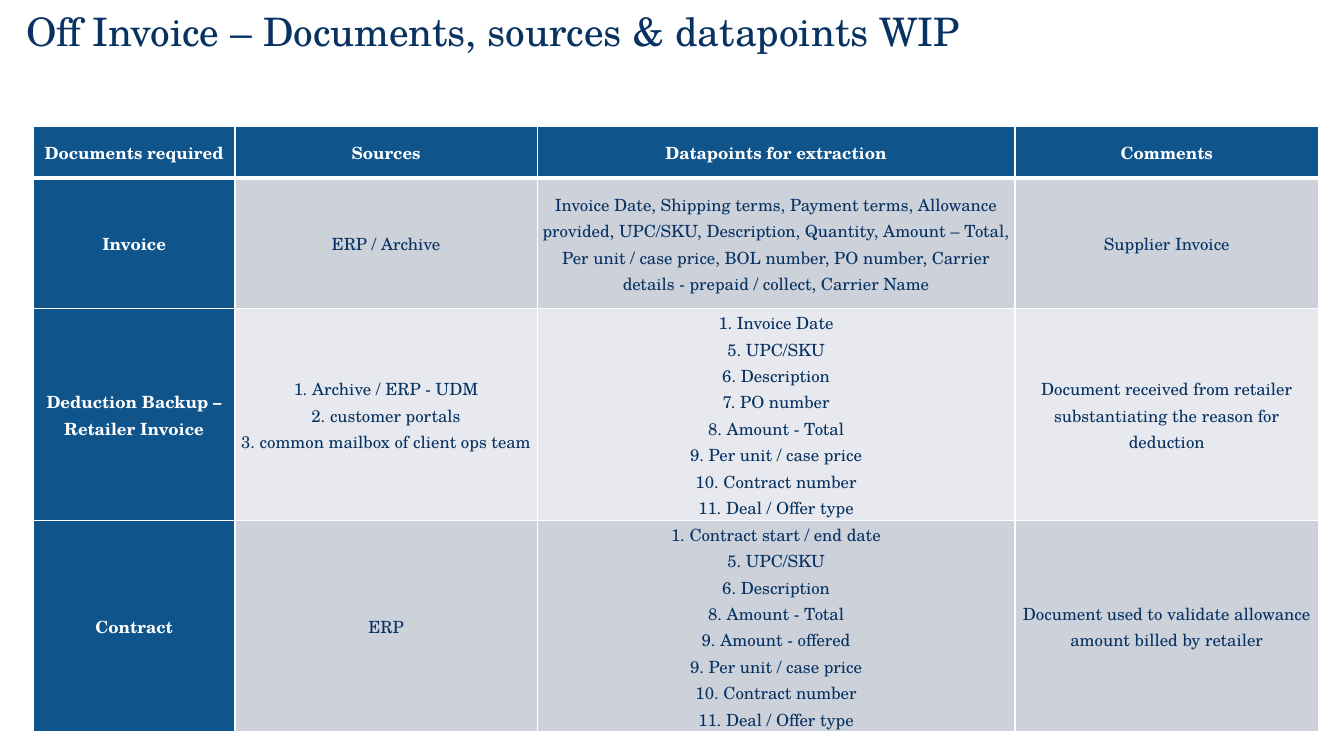
import pptx
import pptx.dml.color
import pptx.enum.text
import pptx.oxml
import pptx.oxml.ns
import pptx.util

Cm = pptx.util.Cm
Pt = pptx.util.Pt
NAVY, BLUE, WHITE = "073262", "10548C", "FFFFFF"
BANDS = ["CCD1DA", "E7E9EE"]

COLUMN_WIDTHS = [5.08, 7.62, 12.04, 7.65]
ROW_HEIGHTS = [1.3, 3.3, 5.31, 5.31]
ROWS = [
    ["Documents required", "Sources", "Datapoints for extraction", "Comments"],
    ["Invoice", "ERP / Archive",
     "Invoice Date, Shipping terms, Payment terms, Allowance provided, UPC/SKU, "
     "Description, Quantity, Amount – Total, Per unit / case price, BOL number, "
     "PO number, Carrier details - prepaid / collect, Carrier Name",
     "Supplier Invoice"],
    ["Deduction Backup – Retailer Invoice",
     "1. Archive / ERP - UDM\v2. customer portals\v3. common mailbox of client ops team",
     "1. Invoice Date\n5. UPC/SKU\n6. Description\n7. PO number\n8. Amount - Total\n"
     "9. Per unit / case price\n10. Contract number\n11. Deal / Offer type",
     "Document received from retailer substantiating the reason for deduction"],
    ["Contract", "ERP",
     "1. Contract start / end date\n5. UPC/SKU\n6. Description\n8. Amount - Total\n"
     "9. Amount - offered\n9. Per unit / case price\n10. Contract number\n11. Deal / Offer type",
     "Document used to validate allowance amount billed by retailer"],
]


def rgb(value):
    return pptx.dml.color.RGBColor.from_string(value)


class Deck:
    font = "TeX Gyre Schola"

    def __init__(self, width, height):
        self.prs = pptx.Presentation()
        self.prs.slide_width, self.prs.slide_height = Cm(width), Cm(height)
        self.slide = self.prs.slides.add_slide(self.prs.slide_layouts[5])

    def style(self, p, size, color, bold, align, spacing):
        p.alignment, p.line_spacing = align, spacing
        for r in p.runs:
            r.font.name, r.font.size, r.font.bold = self.font, Pt(size), bold
            r.font.color.rgb = rgb(color)

    def title(self, text, left, top, width, height):
        sp = self.slide.shapes.title
        sp.left, sp.top, sp.width, sp.height = map(Cm, (left, top, width, height))
        tf = sp.text_frame
        tf.text = text
        tf.word_wrap = True
        tf.auto_size = pptx.enum.text.MSO_AUTO_SIZE.NONE
        tf.vertical_anchor = pptx.enum.text.MSO_ANCHOR.TOP
        self.style(tf.paragraphs[0], 28, NAVY, False, pptx.enum.text.PP_ALIGN.LEFT, 0.9)

    def borders(self, cell, bottom):
        tcPr = cell._tc.get_or_add_tcPr()
        for side, width in (("L", 1), ("R", 1), ("T", 1), ("B", bottom)):
            tcPr.append(pptx.oxml.parse_xml(
                f'<a:ln{side} {pptx.oxml.ns.nsdecls("a")} w="{Pt(width)}">'
                f'<a:solidFill><a:srgbClr val="{WHITE}"/></a:solidFill></a:ln{side}>'))

    def cell(self, cell, text, fill, color, bold, bottom):
        self.borders(cell, bottom)
        cell.fill.solid()
        cell.fill.fore_color.rgb = rgb(fill)
        cell.margin_left = cell.margin_right = Cm(0.13)
        cell.margin_top = cell.margin_bottom = 0
        cell.vertical_anchor = pptx.enum.text.MSO_ANCHOR.MIDDLE
        cell.text_frame.text = text
        for p in cell.text_frame.paragraphs:
            self.style(p, 12, color, bold, pptx.enum.text.PP_ALIGN.CENTER, 1.07)

    def table(self, rows, left, top, widths, heights):
        table = self.slide.shapes.add_table(
            len(rows), len(widths), Cm(left), Cm(top),
            Cm(sum(widths)), Cm(sum(heights))).table
        for column, width in zip(table.columns, widths):
            column.width = Cm(width)
        for i, (texts, height) in enumerate(zip(rows, heights)):
            table.rows[i].height = Cm(height)
            for j, text in enumerate(texts):
                header = i == 0 or j == 0
                self.cell(table.cell(i, j), text,
                          BLUE if header else BANDS[(i - 1) % 2],
                          WHITE if header else NAVY, header, 3 if i == 0 else 1)


def main():
    deck = Deck(33.87, 19.05)
    deck.title("Off Invoice – Documents, sources & datapoints WIP", 0.41, 0.18, 29.21, 1.07)
    deck.table(ROWS, 0.84, 3.18, COLUMN_WIDTHS, ROW_HEIGHTS)
    deck.prs.save("out.pptx")


if __name__ == "__main__":
    main()
